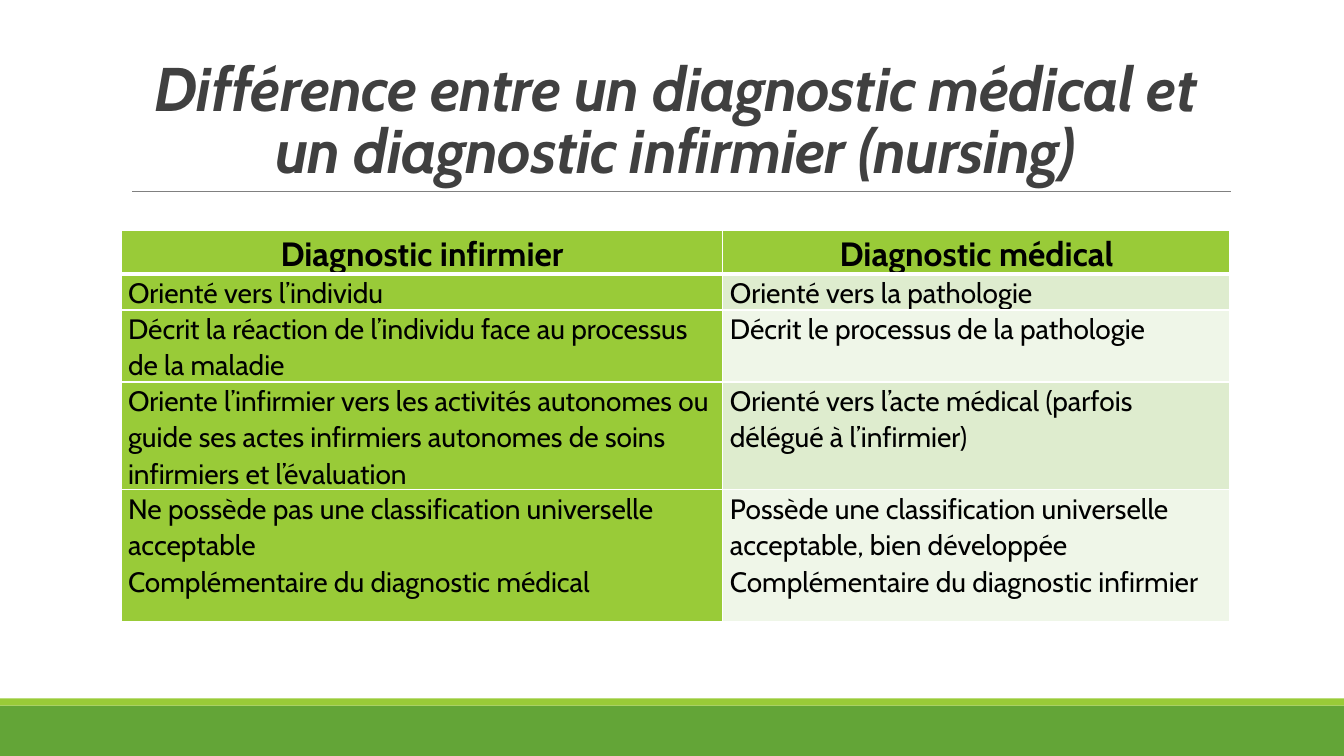
from dataclasses import dataclass

from lxml import etree
from pptx import Presentation
from pptx.dml.color import RGBColor
from pptx.enum.shapes import MSO_CONNECTOR, MSO_SHAPE
from pptx.enum.text import MSO_ANCHOR, PP_ALIGN
from pptx.oxml.ns import qn
from pptx.util import Inches, Pt

RECT = MSO_SHAPE.RECTANGLE
LINE = MSO_CONNECTOR.STRAIGHT
CENTER, LEFT, JUSTIFY = PP_ALIGN.CENTER, PP_ALIGN.LEFT, PP_ALIGN.JUSTIFY
BOTTOM = MSO_ANCHOR.BOTTOM


@dataclass(frozen=True)
class Theme:
    font: str = "Cabin"
    title: str = "404040"
    text: str = "000000"
    rule: str = "808080"
    edge: str = "FFFFFF"
    green: str = "63A537"
    lime: str = "99CB38"
    bands: tuple = ("DEECCE", "EFF6E8")
    title_size: int = 44
    head_size: int = 24
    body_size: int = 20


def apply(target, values):
    for name, value in values.items():
        setattr(target, name, value)


class Deck:
    def __init__(self, theme):
        self.theme = theme
        self.file = Presentation()
        apply(self.file, {"slide_width": Inches(13.33), "slide_height": Inches(7.5)})
        self.slide = self.file.slides.add_slide(self.file.slide_layouts[6])

    def band(self, top, height, color):
        shape = self.slide.shapes.add_shape(
            RECT, 0, Inches(top), self.file.slide_width, Inches(height))
        shape.shadow.inherit = False
        shape.fill.solid()
        shape.fill.fore_color.rgb = RGBColor.from_string(color)
        shape.line.fill.background()

    def rule(self, left, right, top):
        line = self.slide.shapes.add_connector(
            LINE, Inches(left), Inches(top), Inches(right), Inches(top))
        line.line.color.rgb = RGBColor.from_string(self.theme.rule)
        line.line.width = Pt(0.5)
        etree.SubElement(line._element.spPr, qn("a:effectLst"))

    def label(self, para, text, color, size, spacing, align, bold=False, italic=False):
        apply(para, {"line_spacing": spacing, "alignment": align})
        run = para.add_run()
        run.text = text
        apply(run.font, {"name": self.theme.font, "size": Pt(size),
                         "bold": bold, "italic": italic})
        run.font.color.rgb = RGBColor.from_string(color)
        return run

    def title(self, text, left, top, width, height):
        box = self.slide.shapes.add_textbox(*map(Inches, (left, top, width, height)))
        frame = box.text_frame
        apply(frame, {"word_wrap": True, "vertical_anchor": BOTTOM})
        run = self.label(frame.paragraphs[0], text, self.theme.title,
                         self.theme.title_size, 0.85, CENTER, True, True)
        run._r.get_or_add_rPr().set("spc", "-50")

    def border(self, cell, side, width):
        props = cell._tc.get_or_add_tcPr()
        line = etree.SubElement(props, qn("a:ln" + side), w=str(Pt(width)))
        fill = etree.SubElement(line, qn("a:solidFill"))
        etree.SubElement(fill, qn("a:srgbClr"), val=self.theme.edge)

    def cell(self, cell, lines, row, col):
        head = row == 0
        apply(cell, {"margin_left": Inches(0.07), "margin_right": Inches(0.07),
                     "margin_top": 0, "margin_bottom": 0})
        # Thick edge between the header and the first body row
        for side, width in (("L", 1), ("R", 1), ("T", 3 if row == 1 else 1),
                            ("B", 3 if head else 1)):
            self.border(cell, side, width)
        lime = head or col == 0
        color = self.theme.lime if lime else self.theme.bands[(row - 1) % 2]
        cell.fill.solid()
        cell.fill.fore_color.rgb = RGBColor.from_string(color)
        size = self.theme.head_size if head else self.theme.body_size
        align = {0: CENTER, 1: JUSTIFY}.get(row, LEFT)
        frame = cell.text_frame
        for index, text in enumerate(lines):
            para = frame.add_paragraph() if index else frame.paragraphs[0]
            self.label(para, text, self.theme.text, size, 1.07, align, head)

    def table(self, rows, left, top, widths, heights):
        table = self.slide.shapes.add_table(
            len(rows), len(widths), Inches(left), Inches(top),
            Inches(sum(widths)), Inches(sum(heights))).table
        for column, width in zip(table.columns, widths):
            column.width = Inches(width)
        for row, (cells, height) in enumerate(zip(rows, heights)):
            table.rows[row].height = Inches(height)
            for col, lines in enumerate(cells):
                self.cell(table.cell(row, col), lines, row, col)


# Each cell is a list of paragraphs
ROWS = [
    (["Diagnostic infirmier"], ["Diagnostic médical"]),
    (["Orienté vers l’individu"], ["Orienté vers la pathologie"]),
    (["Décrit la réaction de l’individu face au processus de la maladie"],
     ["Décrit le processus de la pathologie"]),
    (["Oriente l’infirmier vers les activités autonomes ou guide ses actes "
      "infirmiers autonomes de soins infirmiers et l’évaluation"],
     ["Orienté vers l’acte médical (parfois délégué à l’infirmier)"]),
    (["Ne possède pas une classification universelle acceptable",
      "Complémentaire du diagnostic médical"],
     ["Possède une classification universelle acceptable, bien développée",
      "Complémentaire du diagnostic infirmier"]),
]


def main():
    theme = Theme()
    deck = Deck(theme)
    # Footer bands
    deck.band(7, 0.5, theme.green)
    deck.band(6.93, 0.07, theme.lime)
    # Title and its rule
    deck.rule(1.31, 12.21, 1.9)
    deck.title("Différence entre un diagnostic médical et "
               "un diagnostic infirmier (nursing)", 1.2, 0.31, 11, 1.59)
    # Comparison table
    deck.table(ROWS, 1.2, 2.29, (5.97, 5.03), (0.36, 0.32, 0.65, 0.98, 1.31))
    deck.file.save("out.pptx")


if __name__ == "__main__":
    main()
